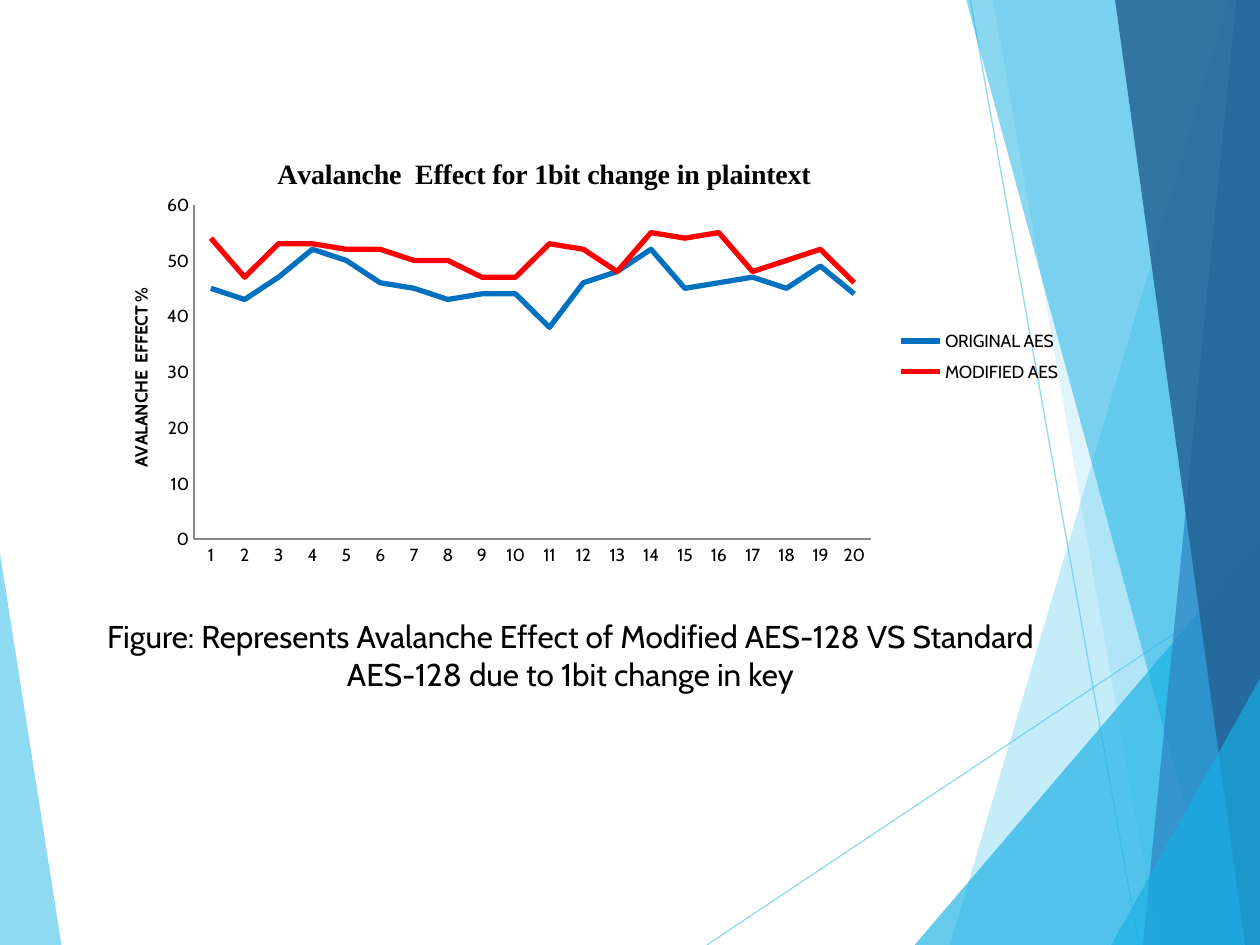
from lxml import etree
from pptx import Presentation, util as u
from pptx.chart.data import CategoryChartData
from pptx.dml.color import RGBColor
from pptx.enum import chart as charts, shapes, text
from pptx.oxml import parse_xml
from pptx.oxml.ns import nsdecls, qn

COLORS = {"sky": "5FCBEF", "cyan": "17B0E4", "blue": "2E83C3", "navy": "226292",
          "black": "000000", "axis": "868686", "original": "0070C0", "modified": "FF0000"}
WIDTH, HEIGHT = 25.4, 19.05


def paint(color_format, name, opacity=100):
    color_format.rgb = RGBColor.from_string(COLORS[name])
    if opacity < 100:
        element = color_format._xFill.find(qn("a:srgbClr"))
        etree.SubElement(element, qn("a:alpha")).set("val", str(opacity * 1000))


def place(element, successors, x, y, width=None, height=None, inner=False):
    for old in element.findall(qn("c:layout")):
        element.remove(old)
    values = {"xMode": "edge", "yMode": "edge", "x": x, "y": y}
    if width:
        values.update(w=width, h=height)
    if inner:
        values = {"layoutTarget": "inner", **values}
    tags = "".join(f'<c:{tag} val="{value}"/>' for tag, value in values.items())
    layout = parse_xml(f'<c:layout {nsdecls("c")}><c:manualLayout>{tags}</c:manualLayout></c:layout>')
    element.insert_element_before(layout, *successors)


presentation = Presentation()
presentation.slide_width, presentation.slide_height = u.Cm(WIDTH), u.Cm(HEIGHT)
slide = presentation.slides.add_slide(presentation.slide_layouts[6])

for start_x, start_y, end_x, end_y in [(14.25, HEIGHT, WIDTH, 11.62), (19.56, 0, 22.96, HEIGHT)]:
    line = slide.shapes.add_connector(shapes.MSO_CONNECTOR.STRAIGHT, u.Cm(start_x), u.Cm(start_y),
                                      u.Cm(end_x), u.Cm(end_y))
    line.line.width = u.Pt(0.75)
    line.line.fill.solid()
    paint(line.line.fill.fore_color, "sky", 70)
    etree.SubElement(line._element.spPr, qn("a:effectLst"))

panels = [
    (0, 11.15, 1.24, 0, "sky", 70),
    (24.77, 0, 19.15, WIDTH, "sky", 36),
    (20.02, 0, 23.34, WIDTH, "sky", 20),
    (WIDTH, 10.9, 18.44, WIDTH, "cyan", 66),
    (19.48, 0, 24.64, WIDTH, "cyan", 50),
    (24.92, 0, 23.04, WIDTH, "blue", 70),
    (22.48, 0, 25.1, WIDTH, "navy", 82),
    (WIDTH, 13.68, 22.4, WIDTH, "cyan", 66),
]
for top_x, top_y, bottom_x, edge, color, opacity in panels:
    builder = slide.shapes.build_freeform(u.Cm(top_x), u.Cm(top_y))
    corners = [(bottom_x, HEIGHT), (edge, HEIGHT), (edge, top_y)]
    builder.add_line_segments([(u.Cm(x), u.Cm(y)) for x, y in corners], close=True)
    panel = builder.convert_to_shape()
    panel.shadow.inherit = False
    panel.fill.solid()
    paint(panel.fill.fore_color, color, opacity)
    panel.line.fill.background()

caption = slide.shapes.add_textbox(u.Cm(1.9), u.Cm(12.32), u.Cm(19.2), u.Cm(1.8))
caption.text_frame.word_wrap = True
paragraph = caption.text_frame.paragraphs[0]
paragraph.text = ("Figure: Represents Avalanche Effect of Modified AES-128 VS Standard "
                  "AES-128 due to 1bit change in key")
paragraph.alignment = text.PP_ALIGN.CENTER

chart_data = CategoryChartData()
chart_data.categories = [str(number) for number in range(1, 21)]
chart_data.add_series("ORIGINAL AES", [45, 43, 47, 52, 50, 46, 45, 43, 44, 44,
                                       38, 46, 48, 52, 45, 46, 47, 45, 49, 44])
chart_data.add_series("MODIFIED AES", [54, 47, 53, 53, 52, 52, 50, 50, 47, 47,
                                       53, 52, 48, 55, 54, 55, 48, 50, 52, 46])
chart = slide.shapes.add_chart(charts.XL_CHART_TYPE.LINE, u.Cm(1.93), u.Cm(2.51),
                               u.Cm(19.79), u.Cm(8.99), chart_data).chart
plot = chart.plots[0]
plot.vary_by_categories = False
for series, color in zip(plot.series, ["original", "modified"]):
    series.smooth = False
    series.marker.style = charts.XL_MARKER_STYLE.NONE
    series.format.line.width = u.Pt(3)
    paint(series.format.line.color, color)

category_axis, value_axis = chart.category_axis, chart.value_axis
for axis in (category_axis, value_axis):
    axis.has_major_gridlines = False
    axis.major_tick_mark = charts.XL_TICK_MARK.NONE
    axis.format.line.width = u.Pt(0.75)
    paint(axis.format.line.color, "axis")
for name, value in {"minimum_scale": 0, "maximum_scale": 60, "major_unit": 10}.items():
    setattr(value_axis, name, value)

chart.has_title = True
chart_title, axis_title = chart.chart_title, value_axis.axis_title
chart_title.text_frame.text = "Avalanche  Effect for 1bit change in plaintext"
axis_title.text_frame.text = "AVALANCHE  EFFECT %"
axis_title.text_frame._txBody.bodyPr.set("rot", "-5400000")
axis_title.text_frame._txBody.bodyPr.set("vert", "horz")
chart.has_legend = True
chart.legend.position = charts.XL_LEGEND_POSITION.RIGHT
chart.legend.include_in_layout = False

formats = [
    (paragraph.font, {"name": "Cabin", "size": u.Pt(18)}),
    (chart.font, {"name": "Cabin", "size": u.Pt(10)}),
    (chart_title.text_frame.paragraphs[0].runs[0].font,
     {"name": "Times New Roman", "size": u.Pt(16), "bold": True}),
    (axis_title.text_frame.paragraphs[0].runs[0].font,
     {"name": "Cabin", "size": u.Pt(10), "bold": True}),
]
for font, values in formats:
    for name, value in values.items():
        setattr(font, name, value)
    paint(font.color, "black")

place(chart_title._element, ["c:overlay", "c:spPr", "c:txPr"], 0.18, 0.06)
place(axis_title._element, ["c:overlay", "c:spPr", "c:txPr"], 0.03, 0.36)
place(chart.legend._element, ["c:overlay", "c:spPr", "c:txPr"], 0.81, 0.44, 0.18, 0.16)
plot_area = chart._chartSpace.chart.plotArea
for old_layout in plot_area.findall(qn("c:layout")):
    plot_area.remove(old_layout)
place(plot_area, ["c:lineChart"], 0.1, 0.18, 0.69, 0.75, inner=True)

presentation.save("out.pptx")
